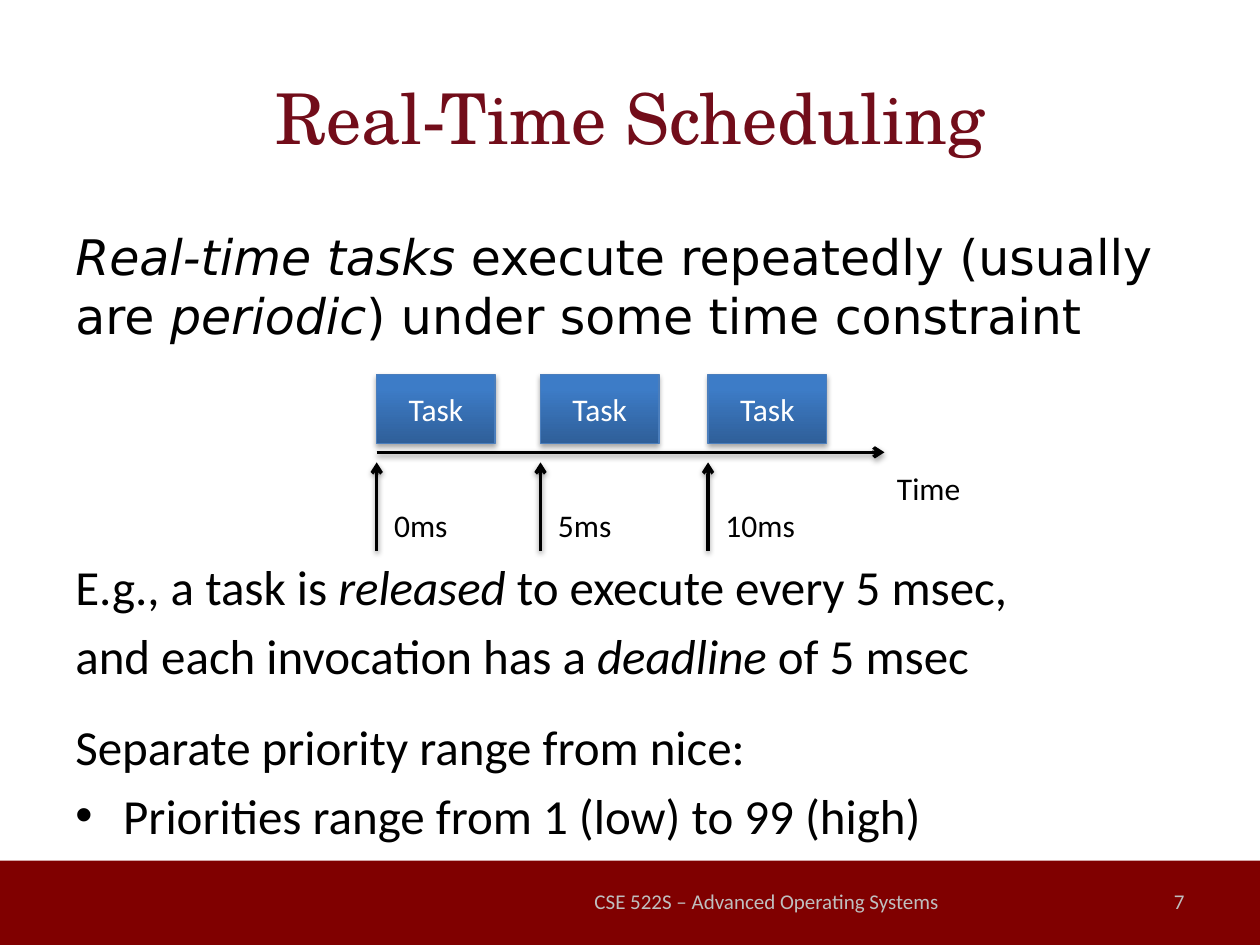
from lxml.etree import SubElement as Sub
from pptx import Presentation
from pptx.dml.color import RGBColor as Rgb
from pptx.enum.shapes import MSO_CONNECTOR as Conn, MSO_SHAPE as Kind
from pptx.enum.text import MSO_ANCHOR as Anchor, PP_ALIGN as Align
from pptx.oxml.ns import qn
from pptx.util import Inches, Pt

BLACK = Rgb(0x00, 0x00, 0x00)
WHITE = Rgb(0xFF, 0xFF, 0xFF)
MAROON = Rgb(0x80, 0x00, 0x00)
WINE = Rgb(0x72, 0x0D, 0x1A)
GREY = Rgb(0xBF, 0xBF, 0xBF)
NAVY = Rgb(0x2F, 0x5F, 0x99)
BLUE = Rgb(0x3D, 0x7C, 0xC7)
EDGE = Rgb(0x4B, 0x7E, 0xBC)

TITLE = {"name": "TeX Gyre Schola", "size": Pt(40), "color": WINE}
LEAD = {"name": "DejaVu Sans", "size": Pt(28), "color": BLACK}
BODY = {**LEAD, "name": "Calibri"}
LABEL = {**BODY, "size": Pt(18)}
TASK = {**LABEL, "color": WHITE}
FOOT = {**BODY, "size": Pt(12), "color": GREY}

RELEASES = [(2.99, "0ms", 0.64), (4.29, "5ms", 0.64), (5.62, "10ms", 0.76)]
AXIS_Y = 3.59
NOTES = [
    ("E.g., a task is *released* to execute every 5 msec,", 0),
    ("and each invocation has a *deadline* of 5 msec", 5.6),
    ("Separate priority range from nice:", 18.5),
    ("Priorities range from 1 (low) to 99 (high)", 5.6),
]


def style(font, look):
    for key, value in look.items():
        if key == "color":
            font.color.rgb = value
        else:
            setattr(font, key, value)


def write(para, text, look, align=Align.LEFT, gap=0):
    para.alignment = align
    para.space_before = Pt(gap)
    for i, part in enumerate(text.split("*")):
        if part:
            run = para.add_run()
            run.text = part
            style(run.font, {**look, "italic": i % 2 == 1})


def add_box(shapes, at, lines, look, align=Align.LEFT, anchor=Anchor.TOP, wrap=True):
    box = shapes.add_textbox(*map(Inches, at))
    frame = box.text_frame
    frame.word_wrap = wrap
    frame.vertical_anchor = anchor
    for i, (text, gap) in enumerate(lines):
        para = frame.add_paragraph() if i else frame.paragraphs[0]
        write(para, text, look, align, gap)
    return frame


def add_bullet(para):
    props = para._p.get_or_add_pPr()
    props.set("marL", str(Inches(0.38)))
    props.set("indent", str(Inches(-0.38)))
    Sub(props, qn("a:buFont"), typeface="Arial")
    Sub(props, qn("a:buChar"), char="•")


def add_shadow(props, dist, alpha):
    effects = Sub(props, qn("a:effectLst"))
    outer = Sub(effects, qn("a:outerShdw"), blurRad=str(Pt(3.1)),
                dist=str(Pt(dist)), dir="5400000", rotWithShape="0")
    color = Sub(outer, qn("a:srgbClr"), val=str(BLACK))
    Sub(color, qn("a:alpha"), val=str(alpha * 1000))


def add_arrow(shapes, start, end):
    arrow = shapes.add_connector(Conn.STRAIGHT, *map(Inches, start + end))
    arrow.line.color.rgb = BLACK
    arrow.line.width = Pt(2)
    Sub(arrow.line._get_or_add_ln(), qn("a:tailEnd"), type="arrow")
    add_shadow(arrow._element.spPr, 1.6, 38)


def add_task(shapes, left):
    task = shapes.add_shape(Kind.RECTANGLE, *map(Inches, (left, 2.97, 0.94, 0.55)))
    task.fill.gradient()
    task.fill.gradient_angle = 90
    stops = task.fill.gradient_stops
    for stop, place, color in zip(stops, (0, 0.8), (NAVY, BLUE)):
        stop.position = place
        stop.color.rgb = color
    task.line.color.rgb = EDGE
    task.line.width = Pt(0.75)
    add_shadow(task._element.spPr, 1.8, 35)
    task.text_frame.vertical_anchor = Anchor.MIDDLE
    write(task.text_frame.paragraphs[0], "Task", TASK, Align.CENTER)


def add_band(shapes):
    band = shapes.add_shape(Kind.RECTANGLE, *map(Inches, (0, 6.83, 10, 0.67)))
    band.shadow.inherit = False
    band.fill.solid()
    band.fill.fore_color.rgb = MAROON
    band.line.fill.background()


def add_timeline(shapes):
    group = shapes.add_group_shape().shapes
    add_arrow(group, (2.99, AXIS_Y), (7.02, AXIS_Y))
    for left, label, width in RELEASES:
        add_task(group, left)
        add_arrow(group, (left, 4.37), (left, 3.67))
        add_box(shapes, (left + 0.04, 3.97, width, 0.4), [(label, 0)], LABEL, wrap=False)
    add_box(shapes, (7.02, 3.67, 0.71, 0.4), [("Time", 0)], LABEL, wrap=False)


def main():
    deck = Presentation()
    deck.slide_width, deck.slide_height = Inches(10), Inches(7.5)
    shapes = deck.slides.add_slide(deck.slide_layouts[6]).shapes
    add_band(shapes)
    add_box(shapes, (0.5, 0.3, 9, 1.25), [("Real-Time Scheduling", 0)], TITLE,
            Align.CENTER, Anchor.MIDDLE)
    add_box(shapes, (4.5, 6.95, 3.17, 0.4), [("CSE 522S – Advanced Operating Systems", 0)],
            FOOT, Align.CENTER, Anchor.MIDDLE)
    add_box(shapes, (7.17, 6.95, 2.33, 0.4), [("7", 0)], FOOT, Align.RIGHT, Anchor.MIDDLE)
    lead = "*Real-time tasks* execute repeatedly (usually are *periodic*) under some time constraint"
    add_box(shapes, (0.5, 1.75, 9.16, 1.25), [(lead, 0)], LEAD)
    add_timeline(shapes)
    notes = add_box(shapes, (0.5, 4.37, 9, 2.63), NOTES, BODY)
    add_bullet(notes.paragraphs[-1])
    deck.save("out.pptx")


if __name__ == "__main__":
    main()
